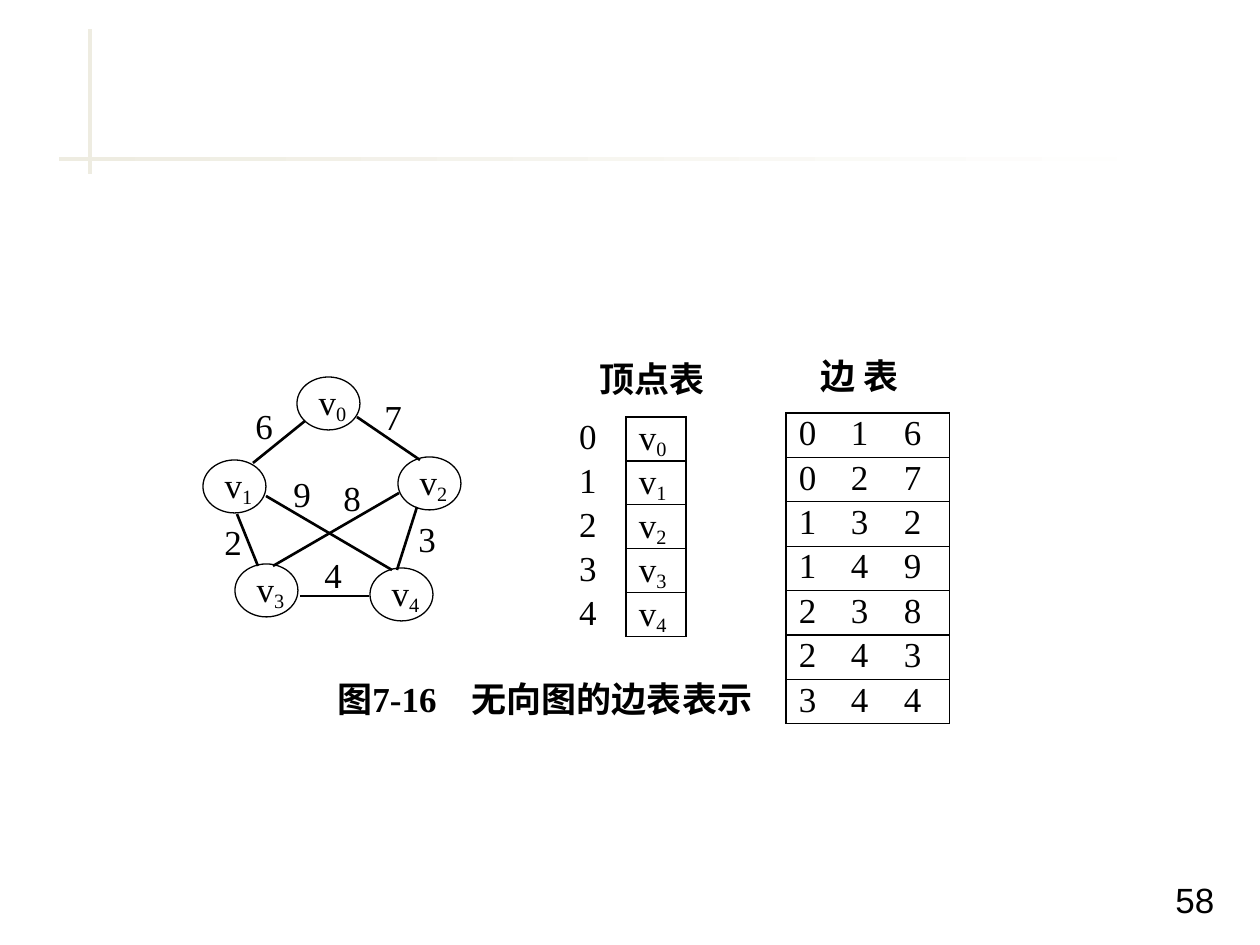
from lxml.etree import SubElement
from pptx import Presentation
from pptx.dml.color import RGBColor
from pptx.enum.shapes import MSO_CONNECTOR, MSO_SHAPE
from pptx.enum.text import MSO_ANCHOR, PP_ALIGN
from pptx.oxml.ns import qn
from pptx.util import Pt

SCALE = 914400 // 126
BLACK, WHITE, CREAM = "000000", "FFFFFF", "EEECE1"
SERIF, SANS, CJK = "Times New Roman", "Arial", "Noto Sans CJK SC"
INSET = 13

NODE_SIZE = (63, 53)
NODES = [("0", 297, 377), ("1", 203, 460), ("2", 398, 457), ("3", 235, 564), ("4", 370, 568)]
LABEL_SIZE = (42, 42)
EDGES = [
    ("6", (243, 407), (305, 421), (253, 463)),
    ("7", (372, 398), (357, 417), (420, 460)),
    ("4", (312, 556), (300, 596), (369, 596)),
    ("2", (212, 523), (237, 514), (258, 566)),
    ("3", (406, 520), (417, 507), (397, 570)),
    ("9", (281, 475), (266, 496), (392, 570)),
    ("8", (331, 479), (399, 493), (273, 566)),
]
CAPTIONS = [
    ("图7-16　无向图的边表表示", (325, 679, 455, 44), SERIF, True, MSO_ANCHOR.MIDDLE),
    ("顶点表", (587, 357, 140, 49), CJK, True, MSO_ANCHOR.MIDDLE),
    ("边 表", (808, 354, 118, 49), CJK, True, MSO_ANCHOR.MIDDLE),
    ("58", (1163, 877, 98, 50), SANS, False, MSO_ANCHOR.TOP),
]
VERTEX_ROWS = [[(name, ""), ("v", name)] for name, _, _ in NODES]
VERTEX_SIDES = ["", "LRTB"]
EDGE_LIST = ["016", "027", "132", "149", "238", "243", "344"]
EDGE_ROWS = [[(value, "") for value in row] for row in EDGE_LIST]
EDGE_SIDES = ["LTB", "TB", "RTB"]


def px(value):
    return round(value * SCALE)


def color(value):
    return RGBColor.from_string(value)


def assign(target, values):
    for name, value in values.items():
        setattr(target, name, value)


def write(frame, text, subscript="", font=SERIF, bold=False):
    para = frame.paragraphs[0]
    assign(para, {"alignment": PP_ALIGN.LEFT, "line_spacing": 0.9, "space_before": Pt(0)})
    for part, baseline in ((text, ""), (subscript, "-18000")):
        if not part:
            continue
        span = para.add_run()
        span.text = part
        assign(span.font, {"name": font, "size": Pt(20), "bold": bold})
        span.font.color.rgb = color(BLACK)
        properties = span._r.get_or_add_rPr()
        SubElement(properties, qn("a:ea")).set("typeface", CJK)
        if baseline:
            properties.set("baseline", baseline)


def add_text(page, text, area, font=SERIF, bold=False, anchor=MSO_ANCHOR.MIDDLE):
    box = page.shapes.add_textbox(*map(px, area))
    assign(box.text_frame, {"word_wrap": False, "margin_right": 0, "vertical_anchor": anchor})
    write(box.text_frame, text, font=font, bold=bold)


def add_bar(page, area):
    bar = page.shapes.add_shape(MSO_SHAPE.RECTANGLE, *map(px, area))
    bar.shadow.inherit = False
    bar.line.fill.background()
    return bar


def add_node(page, name, left, top):
    node = page.shapes.add_shape(MSO_SHAPE.OVAL, *map(px, (left, top, *NODE_SIZE)))
    node.shadow.inherit = False
    node.fill.background()
    node.line.color.rgb = color(BLACK)
    node.line.width = Pt(0.75)
    assign(node.text_frame, {"word_wrap": False, "vertical_anchor": MSO_ANCHOR.MIDDLE})
    write(node.text_frame, "v", name)


def add_edge(page, start, end):
    edge = page.shapes.add_connector(MSO_CONNECTOR.STRAIGHT, *map(px, start + end))
    edge.line.color.rgb = color(BLACK)
    edge.line.width = Pt(1.5)
    SubElement(edge._element.spPr, qn("a:effectLst"))


def set_borders(cell, sides):
    properties = cell._tc.get_or_add_tcPr()
    for side in "LRTB":
        border = SubElement(properties, qn(f"a:ln{side}"), w=str(Pt(0.75)))
        if side in sides:
            solid = SubElement(border, qn("a:solidFill"))
            SubElement(solid, qn("a:srgbClr"), val=BLACK)
        else:
            SubElement(border, qn("a:noFill"))


def add_grid(page, rows, sides, left, top, widths, height):
    area = (left, top, sum(widths), height)
    grid = page.shapes.add_table(len(rows), len(widths), *map(px, area)).table
    assign(grid, {"first_row": False, "horz_banding": False})
    for column, width in zip(grid.columns, widths):
        column.width = px(width)
    for line, values in zip(grid.rows, rows):
        line.height = px(height / len(rows))
        for cell, (text, subscript), edges in zip(line.cells, values, sides):
            assign(cell, {"margin_left": px(INSET), "margin_right": 0, "margin_top": 0,
                          "margin_bottom": 0, "vertical_anchor": MSO_ANCHOR.MIDDLE})
            set_borders(cell, edges)
            cell.fill.background()
            write(cell.text_frame, text, subscript)


def main():
    deck = Presentation()
    assign(deck, {"slide_width": px(1260), "slide_height": px(945)})
    page = deck.slides.add_slide(deck.slide_layouts[6])

    upright = add_bar(page, (88, 29, 4, 145))
    upright.fill.solid()
    upright.fill.fore_color.rgb = color(CREAM)
    rule = add_bar(page, (59, 157, 1134, 4))
    rule.fill.gradient()
    rule.fill.gradient_angle = 0
    for stop, shade, position in zip(rule.fill.gradient_stops, (CREAM, WHITE), (0, 1)):
        stop.color.rgb = color(shade)
        stop.position = position

    for node in NODES:
        add_node(page, *node)
    for weight, place, start, end in EDGES:
        add_edge(page, start, end)
        add_text(page, weight, place + LABEL_SIZE)
    for caption in CAPTIONS:
        add_text(page, *caption)
    add_grid(page, VERTEX_ROWS, VERTEX_SIDES, 566, 417, (60, 60), 220)
    add_grid(page, EDGE_ROWS, EDGE_SIDES, 786, 413, (52, 53, 59), 311)
    deck.save("out.pptx")


if __name__ == "__main__":
    main()
